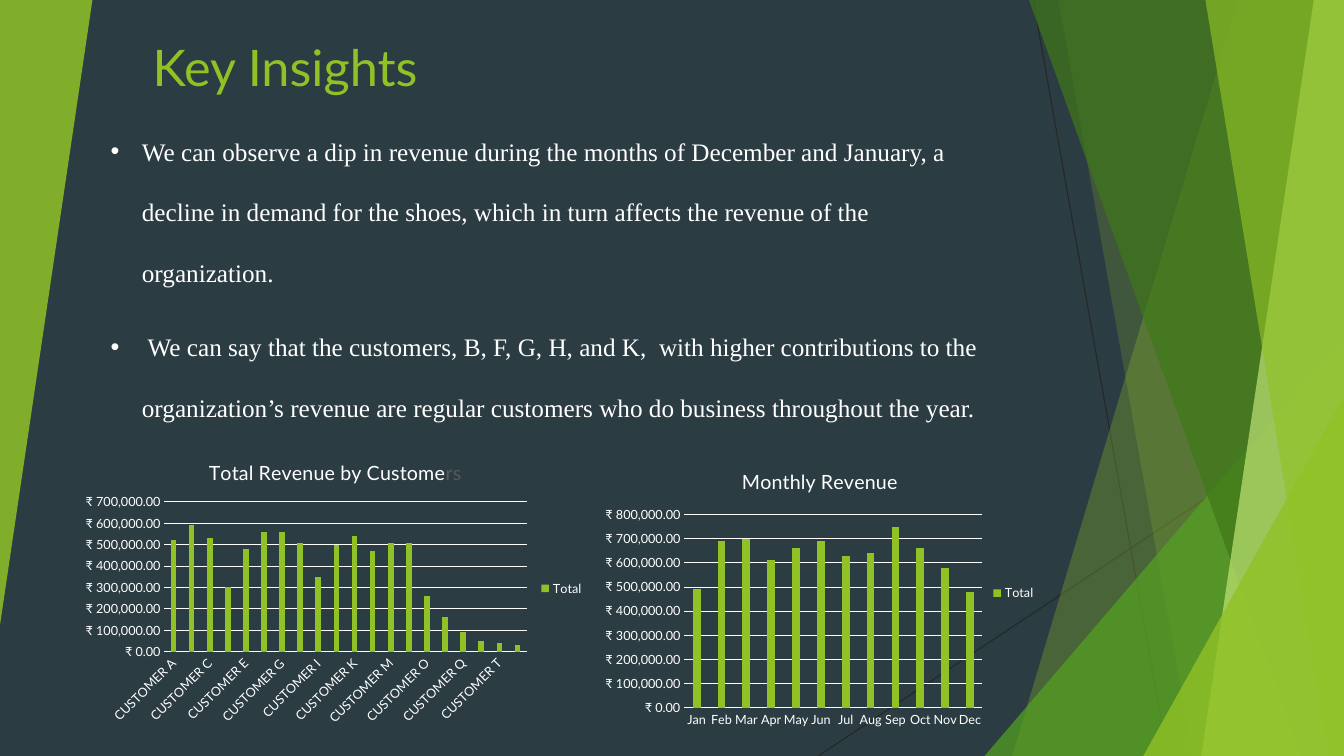
import dataclasses
import typing

import pptx
import pptx.chart.data
import pptx.dml.color
import pptx.enum.chart
import pptx.enum.shapes
import pptx.enum.text
import pptx.oxml
import pptx.oxml.ns
import pptx.util

COLUMNS, ROWS = 16, 9  # square grid cells over the whole slide


@dataclasses.dataclass(frozen=True)
class Theme:
    background: str = "2C3C43"
    lime: str = "90C226"
    green: str = "54A021"
    forest: str = "3F7819"
    pale: str = "C0E474"
    white: str = "FFFFFF"
    grey: str = "595959"
    hairline: str = "262626"
    sans: str = "Lato"
    serif: str = "Times New Roman"
    title_size: int = 36
    body_size: int = 18
    chart_title_size: int = 14
    label_size: int = 9
    line_width: float = 0.75


THEME = Theme()


class Box(typing.NamedTuple):
    left: float
    top: float
    width: float
    height: float


class Facet(typing.NamedTuple):
    """A full-height panel from a slanted left side to the right edge."""
    top_column: float
    bottom_column: float
    color: str
    opacity: int


class Corner(typing.NamedTuple):
    """A right-angled triangle in a corner."""
    box: Box
    color: str
    opacity: int
    rotation: int = 0


class RevenueChart(typing.NamedTuple):
    box: Box
    title_parts: list[tuple[str, str]]
    categories: list[str]
    thousands: list[int]
    overlap: int
    plot_area: Box  # shares of the chart's size


HAIRLINES = [(12.3, 0, 13.9, 9), (16, 4.84, 9.74, 9)]
DECORATION = [
    Facet(14.74, 12.05, THEME.lime, 30),
    Facet(12.6, 14.2, THEME.lime, 20),
    Corner(Box(11.72, 4, 4.28, 5), THEME.green, 72),
    Facet(12.25, 15.49, THEME.forest, 70),
    Facet(15.64, 14.3, THEME.pale, 70),
    Facet(14.35, 15.82, THEME.lime, 65),
    Corner(Box(13.61, 4.72, 2.39, 4.28), THEME.lime, 80),
    Corner(Box(0, 0, 1.1, 7.44), THEME.lime, 85, rotation=180),
]
INSIGHTS = [
    "We can observe a dip in revenue during the months of December and January, a decline in "
    "demand for the shoes, which in turn affects the revenue of the organization.",
    " We can say that the customers, B, F, G, H, and K,  with higher contributions to the "
    "organization’s revenue are regular customers who do business throughout the year.",
]
CHARTS = [
    RevenueChart(
        Box(0.91, 5.29, 6.16, 3.43),
        [("Total Revenue by Custome", THEME.white), ("rs", THEME.grey)],
        [f"CUSTOMER {letter}" for letter in "ABCDEFGHIJKLMNOPQSTU"],
        [520, 590, 530, 300, 480, 560, 560, 510, 350, 500,
         540, 470, 510, 510, 260, 160, 90, 50, 40, 30],
        -27, Box(0.17, 0.2, 0.7, 0.52)),
    RevenueChart(
        Box(7.07, 5.39, 5.38, 3.34),
        [("Monthly Revenue", THEME.white)],
        "Jan Feb Mar Apr May Jun Jul Aug Sep Oct Nov Dec".split(),
        [490, 690, 700, 610, 660, 690, 630, 640, 750, 660, 580, 480],
        0, Box(0.2, 0.22, 0.66, 0.69)),
]

presentation = pptx.Presentation()
presentation.slide_width = pptx.util.Inches(13.33)
presentation.slide_height = pptx.util.Inches(7.5)


def across(columns: float) -> int:
    return round(presentation.slide_width * columns / COLUMNS)


def down(rows: float) -> int:
    return round(presentation.slide_height * rows / ROWS)


def place(box: Box) -> tuple[int, int, int, int]:
    return across(box.left), down(box.top), across(box.width), down(box.height)


def rgb(color: str) -> pptx.dml.color.RGBColor:
    return pptx.dml.color.RGBColor.from_string(color)


def add_child(parent, tag: str, **attributes):
    child = pptx.oxml.parse_xml(f"<{tag} {pptx.oxml.ns.nsdecls(tag.split(':')[0])}/>")
    for name, value in attributes.items():
        child.set(name, str(value))
    parent.append(child)
    return child


def paint(shape, color: str, opacity: int) -> None:
    shape.shadow.inherit = False
    shape.line.fill.background()
    shape.fill.solid()
    shape.fill.fore_color.rgb = rgb(color)
    color_element = shape.fill._xPr.find(".//" + pptx.oxml.ns.qn("a:srgbClr"))
    add_child(color_element, "a:alpha", val=opacity * 1000)


def format_font(font, size: float, color: str, name: str) -> None:
    font.size, font.name, font.bold = pptx.util.Pt(size), name, False
    font.color.rgb = rgb(color)


def format_line(line, color: str) -> None:
    line.color.rgb = rgb(color)
    line.width = pptx.util.Pt(THEME.line_width)


def add_text(slide, paragraphs: list[str], box: Box, *, size: float, color: str, font: str,
             bullet: str = "", line_spacing: float = 1, space_after: float = 0) -> None:
    frame = slide.shapes.add_textbox(*place(box)).text_frame
    frame.word_wrap = True
    frame.auto_size = pptx.enum.text.MSO_AUTO_SIZE.SHAPE_TO_FIT_TEXT
    for index, text in enumerate(paragraphs):
        paragraph = frame.add_paragraph() if index else frame.paragraphs[0]
        paragraph.line_spacing = line_spacing
        paragraph.space_after = pptx.util.Pt(space_after)
        run = paragraph.add_run()
        run.text = text
        format_font(run.font, size, color, font)
        if bullet:
            properties = paragraph._p.get_or_add_pPr()
            indent = pptx.util.Inches(0.31)
            properties.set("marL", str(indent))
            properties.set("indent", str(-indent))
            add_child(properties, "a:buFont", typeface="Arial")
            add_child(properties, "a:buChar", char=bullet)


def add_hairline(slide, ends: tuple[float, float, float, float]) -> None:
    start_x, start_y, end_x, end_y = ends
    line = slide.shapes.add_connector(pptx.enum.shapes.MSO_CONNECTOR.STRAIGHT, across(start_x),
                                      down(start_y), across(end_x), down(end_y))
    format_line(line.line, THEME.hairline)
    add_child(line._element.spPr, "a:effectLst")


def add_facet(slide, facet: Facet) -> None:
    builder = slide.shapes.build_freeform(across(facet.top_column), 0, scale=1.0)
    builder.add_line_segments([(across(COLUMNS), 0), (across(COLUMNS), down(ROWS)),
                               (across(facet.bottom_column), down(ROWS))])
    paint(builder.convert_to_shape(), facet.color, facet.opacity)


def add_corner(slide, corner: Corner) -> None:
    triangle = slide.shapes.add_shape(pptx.enum.shapes.MSO_SHAPE.ISOSCELES_TRIANGLE,
                                      *place(corner.box))
    triangle.adjustments[0] = 1
    triangle.rotation = corner.rotation
    paint(triangle, corner.color, corner.opacity)


def fix_plot_area(chart, area: Box) -> None:
    plot_area = chart._chartSpace.chart.plotArea
    for old in plot_area.findall(pptx.oxml.ns.qn("c:layout")):
        plot_area.remove(old)
    layout = add_child(plot_area, "c:layout")
    plot_area.insert(0, layout)
    manual = add_child(layout, "c:manualLayout")
    values = ["inner", "edge", "edge", *area]
    for tag, value in zip(["layoutTarget", "xMode", "yMode", "x", "y", "w", "h"], values):
        add_child(manual, f"c:{tag}", val=value)


def add_revenue_chart(slide, item: RevenueChart) -> None:
    data = pptx.chart.data.CategoryChartData()
    data.categories = item.categories
    data.add_series("Total", [value * 1000 for value in item.thousands])
    chart = slide.shapes.add_chart(pptx.enum.chart.XL_CHART_TYPE.COLUMN_CLUSTERED,
                                   *place(item.box), data).chart
    format_font(chart.font, THEME.label_size, THEME.white, THEME.sans)

    # Title and legend
    paragraph = chart.chart_title.text_frame.paragraphs[0]
    for text, color in item.title_parts:
        run = paragraph.add_run()
        run.text = text
        format_font(run.font, THEME.chart_title_size, color, THEME.sans)
    chart.has_legend = True
    chart.legend.position = pptx.enum.chart.XL_LEGEND_POSITION.RIGHT
    chart.legend.include_in_layout = False
    format_font(chart.legend.font, THEME.label_size, THEME.white, THEME.sans)

    # Columns
    plot = chart.plots[0]
    plot.vary_by_categories = False
    plot.gap_width, plot.overlap = 219, item.overlap
    plot.series[0].format.fill.solid()
    plot.series[0].format.fill.fore_color.rgb = rgb(THEME.lime)

    # Axes
    for axis in (chart.category_axis, chart.value_axis):
        axis.major_tick_mark = pptx.enum.chart.XL_TICK_MARK.NONE
        format_font(axis.tick_labels.font, THEME.label_size, THEME.white, THEME.sans)
    format_line(chart.category_axis.format.line, THEME.white)
    automatic_rotation = "-60000000"
    chart.category_axis._element.txPr.bodyPr.set("rot", automatic_rotation)
    chart.value_axis.format.line.fill.background()
    format_line(chart.value_axis.major_gridlines.format.line, THEME.white)
    chart.value_axis.tick_labels.number_format = '"₹"\\ #,##0.00'
    chart.value_axis.tick_labels.number_format_is_linked = False
    fix_plot_area(chart, item.plot_area)


def main() -> None:
    slide = presentation.slides.add_slide(presentation.slide_layouts[6])
    slide.background.fill.solid()
    slide.background.fill.fore_color.rgb = rgb(THEME.background)

    # Decoration
    for ends in HAIRLINES:
        add_hairline(slide, ends)
    for part in DECORATION:
        if isinstance(part, Facet):
            add_facet(slide, part)
        else:
            add_corner(slide, part)

    # Content
    add_text(slide, ["Key Insights"], Box(1.7, 0.37, 8, 0.85), size=THEME.title_size,
             color=THEME.lime, font=THEME.sans)
    for item in CHARTS:
        add_revenue_chart(slide, item)
    add_text(slide, INSIGHTS, Box(1.2, 1.2, 10.78, 3.82), size=THEME.body_size,
             color=THEME.white, font=THEME.serif, bullet="•", line_spacing=2, space_after=10)
    presentation.save("out.pptx")


if __name__ == "__main__":
    main()
